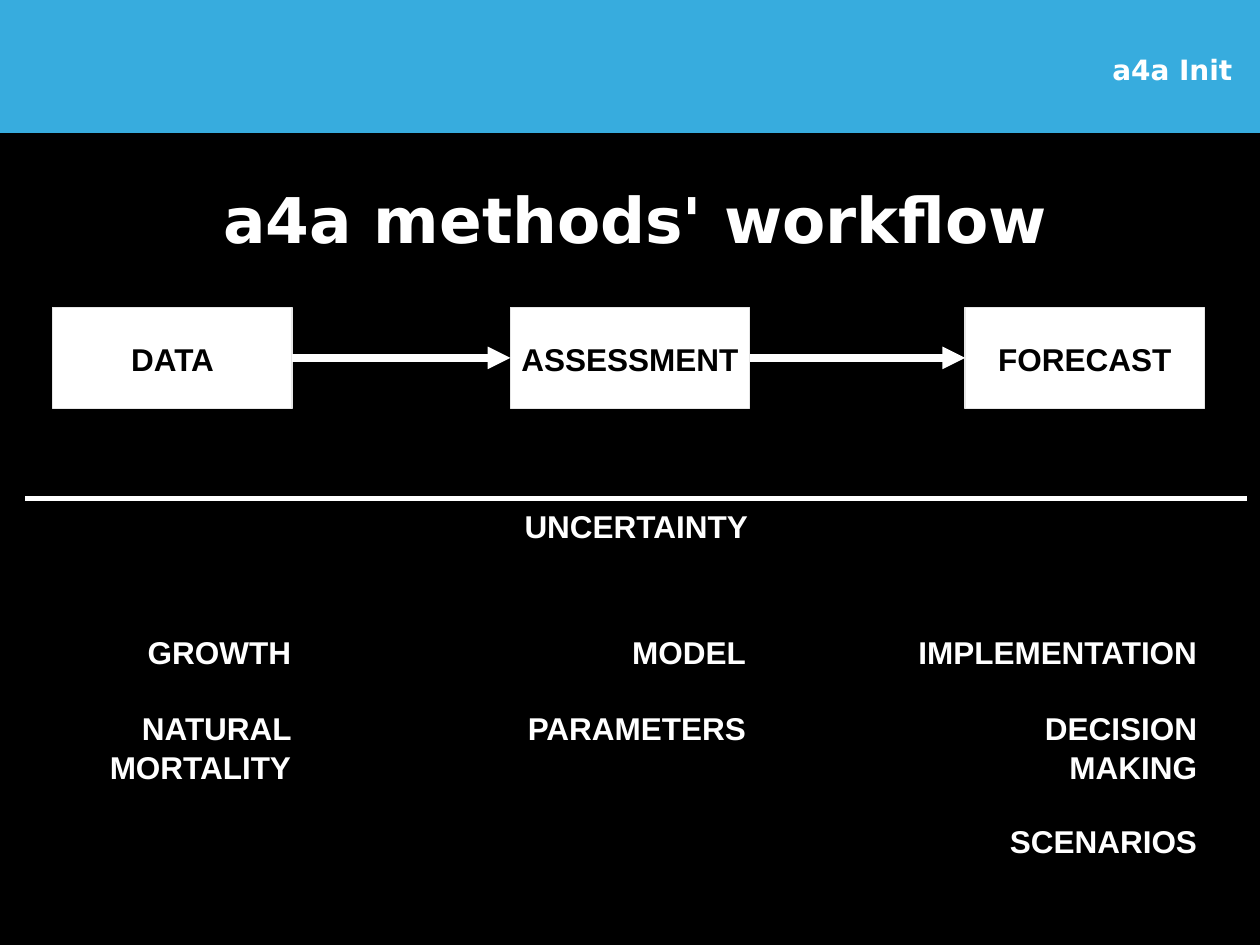
from dataclasses import dataclass

import pptx
import pptx.dml.color
import pptx.enum.shapes
import pptx.enum.text
import pptx.oxml
import pptx.oxml.ns
import pptx.util

Pt = pptx.util.Pt
RGBColor = pptx.dml.color.RGBColor
Align = pptx.enum.text.PP_ALIGN
Anchor = pptx.enum.text.MSO_ANCHOR
RECTANGLE = pptx.enum.shapes.MSO_SHAPE.RECTANGLE
STRAIGHT = pptx.enum.shapes.MSO_CONNECTOR.STRAIGHT

BLACK = RGBColor(0x00, 0x00, 0x00)
WHITE = RGBColor(0xFF, 0xFF, 0xFF)
BLUE = RGBColor(0x37, 0xAC, 0xDE)
GREY = RGBColor(0xE6, 0xE6, 0xE6)

STEP_TOP, STEP_WIDTH, STEP_HEIGHT = 175.7, 136.8, 57.6
DIVIDER_LEFT, DIVIDER_RIGHT, DIVIDER_TOP = 14.4, 712.8, 285.1
ROW_TOPS = (357.1, 400.3, 465.1)
LINE_HEIGHT, INSETS_HEIGHT = 20.2, 7.2


@dataclass(frozen=True)
class Box:
    left: float
    top: float
    width: float
    height: float

    def lengths(self) -> list:
        return [Pt(value) for value in (self.left, self.top, self.width, self.height)]


@dataclass(frozen=True)
class Source:
    """A source of uncertainty, with the number of lines its text takes."""
    text: str
    width: float = 136.8
    lines: int = 1


@dataclass(frozen=True)
class Stage:
    name: str
    left: float
    sources_right: float
    sources: tuple


STAGES = (
    Stage("DATA", 30.2, 173.5,
          (Source("GROWTH"), Source("NATURAL MORTALITY", lines=2))),
    Stage("ASSESSMENT", 291.6, 433.4,
          (Source("MODEL"), Source("PARAMETERS", 144))),
    Stage("FORECAST", 551.5, 691.2,
          (Source("IMPLEMENTATION", 180), Source("DECISION MAKING", lines=2),
           Source("SCENARIOS", 180))),
)


def apply_format(target, values: dict) -> None:
    for name, value in values.items():
        setattr(target, name, value)


def write_text(shape, text: str, size: float, align, font_name: str = "Arial",
               color: RGBColor = WHITE, line_spacing: float = 1.05,
               anchor=Anchor.TOP, wrap: bool = True, inset=(7.2, 3.6)) -> None:
    frame = shape.text_frame
    frame.text = text
    horizontal, vertical = (Pt(value) for value in inset)
    apply_format(frame, {
        "word_wrap": wrap, "vertical_anchor": anchor,
        "auto_size": pptx.enum.text.MSO_AUTO_SIZE.NONE,
        "margin_left": horizontal, "margin_right": horizontal,
        "margin_top": vertical, "margin_bottom": vertical,
    })
    paragraph = frame.paragraphs[0]
    apply_format(paragraph, {"alignment": align, "line_spacing": line_spacing,
                             "space_before": Pt(0)})
    font = paragraph.runs[0].font
    apply_format(font, {"name": font_name, "size": Pt(size), "bold": True})
    font.color.rgb = color


def place(shape, box: Box) -> None:
    names = ("left", "top", "width", "height")
    apply_format(shape, dict(zip(names, box.lengths())))


def add_rectangle(slide, box: Box, fill: RGBColor, line: RGBColor, line_width: float = 0):
    shape = slide.shapes.add_shape(RECTANGLE, *box.lengths())
    shape.shadow.inherit = False
    shape.fill.solid()
    shape.fill.fore_color.rgb = fill
    shape.line.color.rgb = line
    shape.line.width = Pt(line_width)
    return shape


def add_line(slide, start: tuple, end: tuple, width: float):
    connector = slide.shapes.add_connector(
        STRAIGHT, *(Pt(value) for value in (*start, *end)))
    connector.line.color.rgb = WHITE
    connector.line.width = Pt(width)
    properties = connector._element.spPr
    properties.append(pptx.oxml.parse_xml(
        f'<a:effectLst {pptx.oxml.ns.nsdecls("a")}/>'))
    return connector


def add_arrow(slide, source, target) -> None:
    arrow = add_line(slide, (0, 0), (0, 0), 4.31)
    arrow.begin_connect(source, 3)
    arrow.end_connect(target, 1)
    arrow.line._get_or_add_ln().append(pptx.oxml.parse_xml(
        f'<a:tailEnd {pptx.oxml.ns.nsdecls("a")} type="triangle"/>'))


def add_step(slide, stage: Stage):
    box = Box(stage.left, STEP_TOP, STEP_WIDTH, STEP_HEIGHT)
    shape = add_rectangle(slide, box, WHITE, GREY)
    write_text(shape, stage.name, 18, Align.CENTER, color=BLACK,
               anchor=Anchor.MIDDLE, wrap=False)
    return shape


def add_sources(slide, stage: Stage) -> None:
    for source, top in zip(stage.sources, ROW_TOPS):
        box = Box(stage.sources_right - source.width, top, source.width,
                  INSETS_HEIGHT + source.lines * LINE_HEIGHT)
        label = slide.shapes.add_textbox(*box.lengths())
        write_text(label, source.text, 18, Align.RIGHT)


def add_headings(slide) -> None:
    band = add_rectangle(slide, Box(0, 0, 720, 75.6), BLUE, BLUE, 0.75)
    slide.shapes._spTree.insert(2, band._element)  # behind the placeholders
    title, header = slide.placeholders
    place(title, Box(5.8, 74.9, 714.2, 99.4))
    write_text(title, "a4a methods' workflow", 36, Align.CENTER, "DejaVu Sans",
               line_spacing=1.0, anchor=Anchor.MIDDLE, inset=(0, 0))
    place(header, Box(524.2, 14.4, 187.2, 50.4))
    write_text(header, "a4a Init", 16, Align.RIGHT, "DejaVu Sans",
               line_spacing=1.0, anchor=Anchor.MIDDLE)


def add_uncertainty(slide) -> None:
    width = DIVIDER_RIGHT - DIVIDER_LEFT
    label = add_rectangle(slide, Box(DIVIDER_LEFT, DIVIDER_TOP, width, 28.8), BLACK, BLACK)
    write_text(label, "UNCERTAINTY", 18, Align.CENTER, wrap=False)
    add_line(slide, (DIVIDER_LEFT, DIVIDER_TOP), (DIVIDER_RIGHT, DIVIDER_TOP), 2.89)


def main() -> None:
    presentation = pptx.Presentation()
    apply_format(presentation, {"slide_width": Pt(720), "slide_height": Pt(540)})
    slide = presentation.slides.add_slide(presentation.slide_layouts[0])
    slide.background.fill.solid()
    slide.background.fill.fore_color.rgb = BLACK

    add_headings(slide)
    add_uncertainty(slide)
    for stage in STAGES:
        add_sources(slide, stage)
    steps = [add_step(slide, stage) for stage in STAGES]
    for source, target in zip(steps, steps[1:]):
        add_arrow(slide, source, target)
    presentation.save("out.pptx")


if __name__ == "__main__":
    main()
